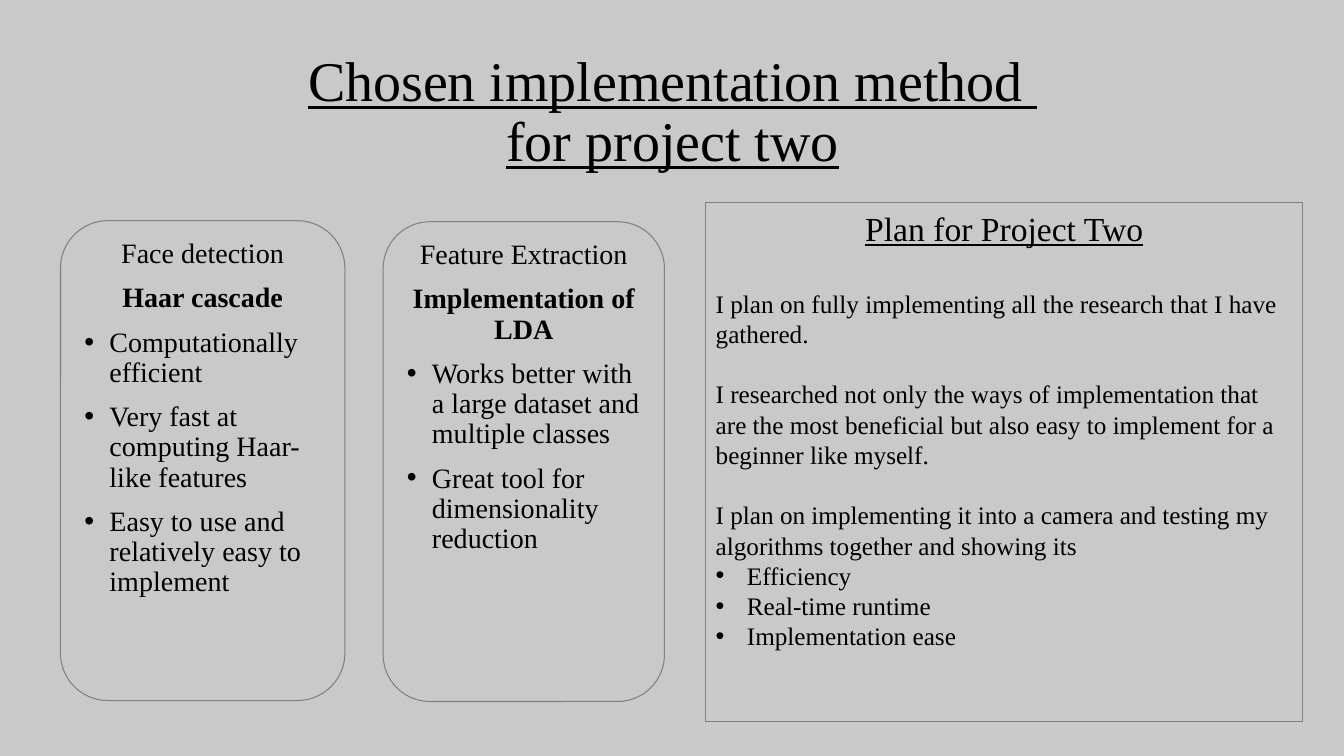
from lxml import etree
from pptx import Presentation
from pptx.dml.color import RGBColor
from pptx.enum.shapes import MSO_SHAPE as SHAPE
from pptx.enum.text import MSO_ANCHOR as ANCHOR, MSO_AUTO_SIZE as AUTOSIZE, PP_ALIGN as ALIGN
from pptx.oxml.ns import qn
from pptx.util import Inches, Pt

FONT = "Times New Roman"
COLORS = {"background": "C9C9C9", "text": "000000", "line": "808080"}

METHODS = [
    ((0.6, 2.19, 2.82, 4.76), "Face detection", "Haar cascade",
     ["Computationally efficient",
      "Very fast at computing Haar-like features",
      "Easy to use and relatively easy to implement"]),
    ((3.8, 2.2, 2.79, 4.76), "Feature Extraction", "Implementation of LDA",
     ["Works better with a large dataset and multiple classes",
      "Great tool for dimensionality reduction"]),
]
# Each plan paragraph comes with the space before it, in points
PLAN = [
    ("I plan on fully implementing all the research that I have gathered.", 28.6),
    ("I researched not only the ways of implementation that are the most beneficial "
     "but also easy to implement for a beginner like myself.", 21.6),
    ("I plan on implementing it into a camera and testing my algorithms together "
     "and showing its", 21.6),
]
PLAN_GOALS = ["Efficiency", "Real-time runtime", "Implementation ease"]


def color(name):
    return RGBColor.from_string(COLORS[name])


def add_bullet(p, indent):
    pPr = p._p.get_or_add_pPr()
    pPr.set("marL", str(Inches(indent)))
    pPr.set("indent", str(-Inches(indent)))
    etree.SubElement(pPr, qn("a:buFont")).set("typeface", "Arial")
    etree.SubElement(pPr, qn("a:buChar")).set("char", "•")


def write(tf, text, size=18, bold=False, underline=False, align=ALIGN.LEFT,
          spacing=1.0, before=0, bullet=None):
    """Add one paragraph, filling the first one while it is still empty."""
    p = tf.paragraphs[0] if not tf.text else tf.add_paragraph()
    p.alignment = align
    p.line_spacing = spacing
    p.space_before = Pt(before)
    if bullet:
        add_bullet(p, bullet)
    for i, line in enumerate(text.split("\n")):
        if i:
            p.add_line_break()
        r = p.add_run()
        r.text = line
        r.font.name = FONT
        r.font.size = Pt(size)
        r.font.bold = bold
        r.font.underline = underline
        r.font.color.rgb = color("text")


def add_title(s, text):
    sp = s.shapes.title
    sp.left, sp.top, sp.width, sp.height = map(Inches, (0.92, 0.4, 11.5, 1.45))
    tf = sp.text_frame
    tf.auto_size = AUTOSIZE.NONE
    tf.vertical_anchor = ANCHOR.MIDDLE
    write(tf, text, size=40, underline=True, align=ALIGN.CENTER, spacing=0.9)


def add_panel(s, shape, box):
    """Add an outlined panel and return its text frame."""
    sp = s.shapes.add_shape(shape, *map(Inches, box))
    sp.shadow.inherit = False
    sp.fill.background()
    sp.line.color.rgb = color("line")
    sp.line.width = Pt(0.75)
    tf = sp.text_frame
    tf.word_wrap = True
    tf.vertical_anchor = ANCHOR.TOP
    return tf


def add_method(s, box, stage, method, reasons):
    tf = add_panel(s, SHAPE.ROUNDED_RECTANGLE, box)
    style = {"size": 20, "spacing": 0.9, "before": 10}
    write(tf, stage, align=ALIGN.CENTER, **style)
    write(tf, method, bold=True, align=ALIGN.CENTER, **style)
    for reason in reasons:
        write(tf, reason, bullet=0.25, **style)


def add_plan(s):
    tf = add_panel(s, SHAPE.RECTANGLE, (7, 2.01, 5.92, 5.15))
    write(tf, "Plan for Project Two", size=24, underline=True, align=ALIGN.CENTER)
    for text, before in PLAN:
        write(tf, text, before=before)
    for goal in PLAN_GOALS:
        write(tf, goal, bullet=0.31)


def main():
    prs = Presentation()
    prs.slide_width, prs.slide_height = Inches(13.33), Inches(7.5)
    s = prs.slides.add_slide(prs.slide_layouts.get_by_name("Title Only"))

    # Background and title
    s.background.fill.solid()
    s.background.fill.fore_color.rgb = color("background")
    add_title(s, "Chosen implementation method \nfor project two")

    # Method cards on the left, plan on the right
    for method in METHODS:
        add_method(s, *method)
    add_plan(s)

    prs.save("out.pptx")


if __name__ == "__main__":
    main()
